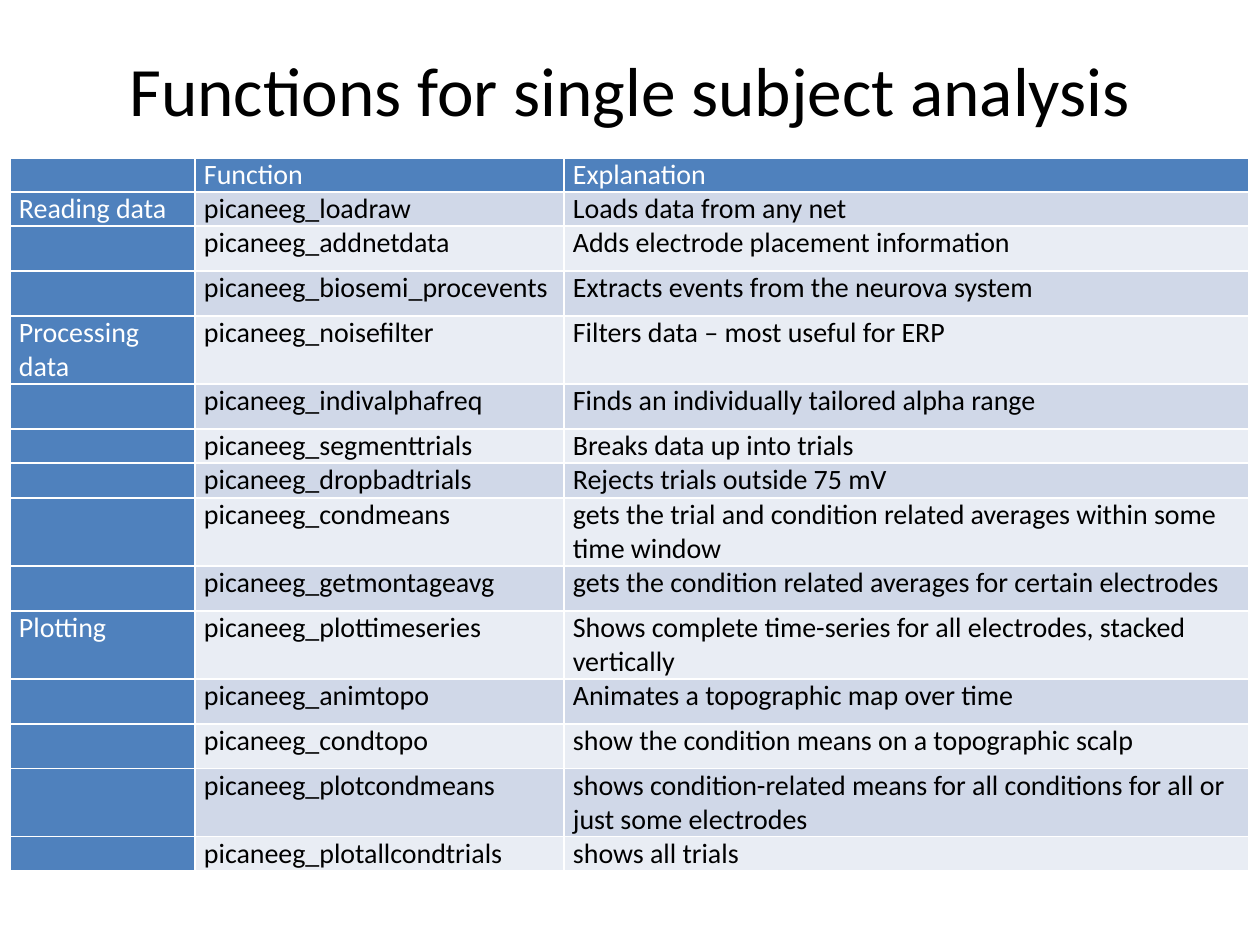
from pptx import Presentation
from pptx.dml.color import RGBColor
from pptx.enum.text import MSO_ANCHOR, PP_ALIGN
from pptx.oxml.ns import qn
from pptx.util import Pt
from lxml.etree import SubElement

PIXEL = 914400 // 126
WHITE = RGBColor(0xFF, 0xFF, 0xFF)
BLACK = RGBColor(0, 0, 0)
BLUE = RGBColor(0x4F, 0x81, 0xBD)
BANDS = [RGBColor(0xE9, 0xED, 0xF4), RGBColor(0xD0, 0xD8, 0xE8)]

COLUMN_WIDTHS = [185, 369, 685]
ROWS = [
    (34, "", "Function", "Explanation"),
    (34, "Reading data", "picaneeg_loadraw", "Loads data from any net"),
    (45, "", "picaneeg_addnetdata", "Adds electrode placement information"),
    (45, "", "picaneeg_biosemi_procevents", "Extracts events from the neurova system"),
    (68, "Processing data", "picaneeg_noisefilter", "Filters data – most useful for ERP"),
    (45, "", "picaneeg_indivalphafreq", "Finds an individually tailored alpha range"),
    (34, "", "picaneeg_segmenttrials", "Breaks data up into trials"),
    (35, "", "picaneeg_dropbadtrials", "Rejects trials outside 75 mV"),
    (68, "", "picaneeg_condmeans",
     "gets the trial and condition related averages within some time window"),
    (45, "", "picaneeg_getmontageavg",
     "gets the condition related averages for certain electrodes"),
    (68, "Plotting", "picaneeg_plottimeseries",
     "Shows complete time-series for all electrodes, stacked vertically"),
    (45, "", "picaneeg_animtopo", "Animates a topographic map over time"),
    (45, "", "picaneeg_condtopo", "show the condition means on a topographic scalp"),
    (68, "", "picaneeg_plotcondmeans",
     "shows condition-related means for all conditions for all or just some electrodes"),
    (34, "", "picaneeg_plotallcondtrials", "shows all trials"),
]


def write(frame, text, size, color, align=PP_ALIGN.LEFT):
    para = frame.paragraphs[0]
    para.alignment = align
    if not text:
        SubElement(para._p, qn("a:endParaRPr"), sz=str(size * 100))
        return
    span = para.add_run()
    span.text = text
    span.font.name = "Calibri"
    span.font.size = Pt(size)
    span.font.bold = False
    span.font.color.rgb = color


def add_borders(cell, color, width):
    properties = cell._tc.get_or_add_tcPr()
    for index, side in enumerate(("lnL", "lnR", "lnT", "lnB")):
        line = properties.makeelement(qn(f"a:{side}"), {"w": str(Pt(width))})
        fill = SubElement(line, qn("a:solidFill"))
        SubElement(fill, qn("a:srgbClr"), val=str(color))
        properties.insert(index, line)


deck = Presentation()
deck.slide_width = 1260 * PIXEL
deck.slide_height = 945 * PIXEL
page = deck.slides.add_slide(deck.slide_layouts[6])

title = page.shapes.add_textbox(63 * PIXEL, 10 * PIXEL, 1134 * PIXEL, 158 * PIXEL)
title.text_frame.word_wrap = True
title.text_frame.vertical_anchor = MSO_ANCHOR.MIDDLE
write(title.text_frame, "Functions for single subject analysis", 39.6, BLACK, PP_ALIGN.CENTER)

table = page.shapes.add_table(
    len(ROWS), len(COLUMN_WIDTHS), 10 * PIXEL, 158 * PIXEL,
    sum(COLUMN_WIDTHS) * PIXEL, sum(row[0] for row in ROWS) * PIXEL,
).table
table.first_col = True
for column, width in zip(table.columns, COLUMN_WIDTHS):
    column.width = width * PIXEL

for row_index, (height, *texts) in enumerate(ROWS):
    table.rows[row_index].height = height * PIXEL
    for column_index, text in enumerate(texts):
        heading = row_index == 0 or column_index == 0
        cell = table.cell(row_index, column_index)
        cell.margin_left = cell.margin_right = 9 * PIXEL
        cell.margin_top = cell.margin_bottom = 0
        cell.fill.solid()
        cell.fill.fore_color.rgb = BLUE if heading else BANDS[row_index % 2]
        add_borders(cell, WHITE, 1)
        write(cell.text_frame, text, 16, WHITE if heading else BLACK)

deck.save("out.pptx")
